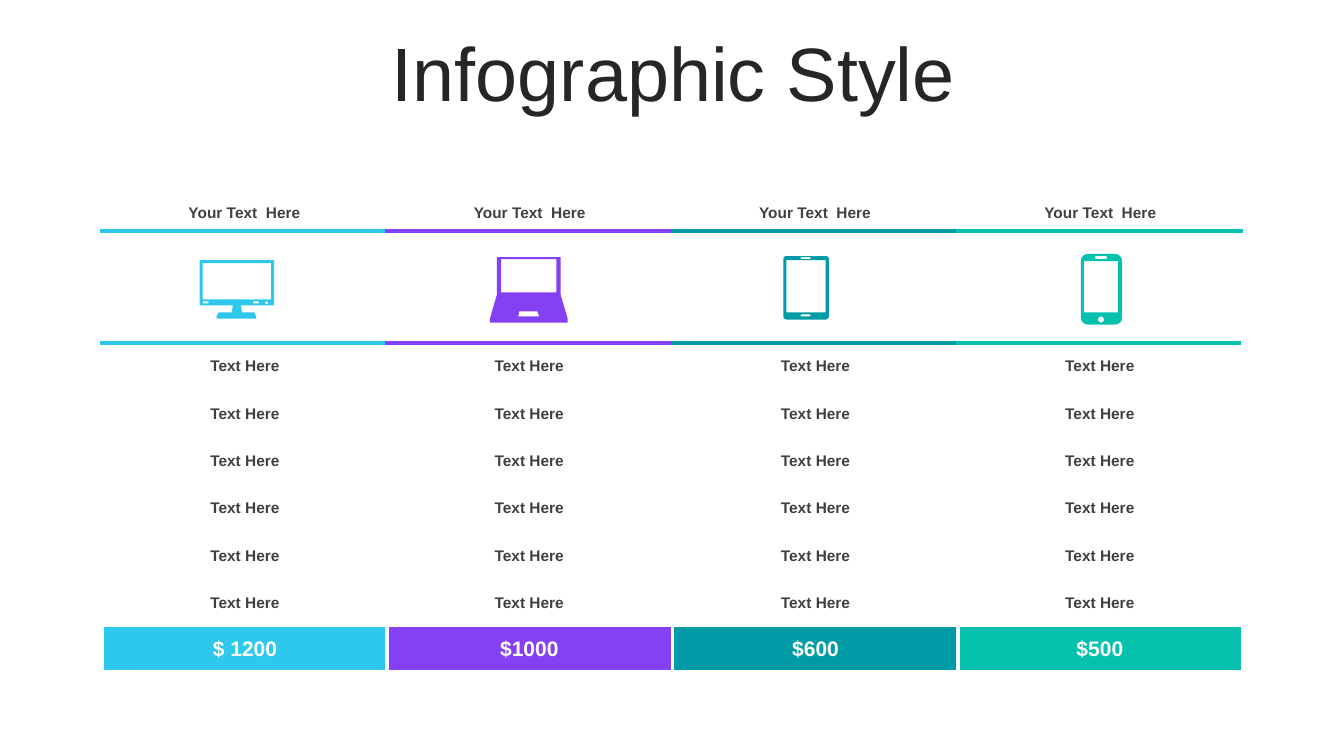
from math import cos, pi, sin

from lxml import etree
from pptx import Presentation
from pptx.dml.color import RGBColor
from pptx.enum.text import MSO_ANCHOR, PP_ALIGN
from pptx.oxml.ns import qn
from pptx.util import Inches, Pt

CENTER, MIDDLE = PP_ALIGN.CENTER, MSO_ANCHOR.MIDDLE
FONT, WHITE, DARK = "Arial", "FFFFFF", "404040"

COLORS = ["2EC8ED", "8540F4", "019BA7", "07C1AF"]
PRICES = ["$ 1200", "$1000", "$600", "$500"]
LEFT, TOP = 1.01, 1.93
SIDE, MAIN, INNER = 0.31, 2.22, 0.3
GROUP = SIDE + MAIN + INNER
ROWS = [0.36, 1.11] + [0.47] * 6 + [0.45]
HEADER, ICONS, FIRST_TEXT, PRICE = 0, 1, 2, len(ROWS) - 1
UNITS = 100  # freeform units per hundredth of an inch


def color(value):
    return RGBColor.from_string(value)


def write(frame, text, size, fill, bold=True):
    p = frame.paragraphs[0]
    p.add_run().text = text
    p.alignment = CENTER
    p.font.name, p.font.size, p.font.bold = FONT, Pt(size), bold
    p.font.color.rgb = color(fill)
    return p


def add_title(s, text):
    tb = s.shapes.add_textbox(Inches(0.35), Inches(0.37), Inches(12.66), Inches(0.79))
    tf = tb.text_frame
    tf.word_wrap = True
    tf.vertical_anchor = MIDDLE
    write(tf, text, 54, "262626", bold=False).line_spacing = 0.9


def set_borders(cell, **sides):
    """Draw 3 pt borders on the named sides (L, R, T, B) and clear the others."""
    tcPr = cell._tc.get_or_add_tcPr()
    for side in "LRTB":
        ln = etree.SubElement(tcPr, qn(f"a:ln{side}"), w=str(Pt(3)))
        if sides.get(side):
            fill = etree.SubElement(ln, qn("a:solidFill"))
            etree.SubElement(fill, qn("a:srgbClr"), val=sides[side])
        else:
            etree.SubElement(ln, qn("a:noFill"))


def style_cell(cell, row, part, accent):
    """Set borders and fill; part is the column's place in its group of three."""
    set_borders(
        cell,
        L=WHITE if part == 0 else None,
        R=WHITE if part == 2 else None,
        T={HEADER: WHITE, ICONS: accent, FIRST_TEXT: accent}.get(row),
        B={HEADER: accent, ICONS: accent, PRICE: WHITE}.get(row),
    )
    cell.fill.solid()
    cell.fill.fore_color.rgb = color(accent if row == PRICE else WHITE)
    cell.vertical_anchor = MIDDLE
    cell.margin_top = cell.margin_bottom = Inches(0.04)
    cell.margin_left = cell.margin_right = Inches(0.08)


def add_price_table(s):
    groups = len(COLORS)
    frame = s.shapes.add_table(len(ROWS), 3 * groups, Inches(LEFT), Inches(TOP),
                               Inches(GROUP * groups), Inches(sum(ROWS)))
    table = frame.table
    table.first_row = table.horz_banding = False
    for row, height in zip(table.rows, ROWS):
        row.height = Inches(height)
    for g, (accent, price) in enumerate(zip(COLORS, PRICES)):
        widths = [SIDE, MAIN, INNER][::-1 if g % 2 else 1]
        for part, width in enumerate(widths):
            table.columns[3 * g + part].width = Inches(width)
            for row in range(len(ROWS)):
                style_cell(table.cell(row, 3 * g + part), row, part, accent)
        for row in (HEADER, ICONS):
            table.cell(row, 3 * g).merge(table.cell(row, 3 * g + 2))
        write(table.cell(HEADER, 3 * g).text_frame, "Your Text  Here", 11, DARK)
        for row in range(FIRST_TEXT, PRICE):
            write(table.cell(row, 3 * g + 1).text_frame, "Text Here", 11, DARK)
        write(table.cell(PRICE, 3 * g + 1).text_frame, price, 15, WHITE)


def box(x, y, w, h, r=0):
    """Outline of a rectangle whose corners have radius r."""
    if not r:
        return [(x, y), (x + w, y), (x + w, y + h), (x, y + h)]
    centers = [(x + w - r, y + h - r), (x + r, y + h - r),
               (x + r, y + r), (x + w - r, y + r)]
    steps = 6
    return [(cx + r * cos(a), cy + r * sin(a))
            for q, (cx, cy) in enumerate(centers)
            for a in [(q + k / steps) * pi / 2 for k in range(steps + 1)]]


def add_icon(s, left, top, fill, outlines):
    """Draw a body with holes; outlines are in hundredths of an inch."""
    scaled = [[(x * UNITS, y * UNITS) for x, y in o] for o in outlines]
    fb = s.shapes.build_freeform(*scaled[0][0], scale=Inches(0.01) / UNITS)
    for i, points in enumerate(scaled):
        if i:
            fb.move_to(*points[0])
        fb.add_line_segments(points[1:], close=True)
    sp = fb.convert_to_shape(Inches(left), Inches(top))
    sp.shadow.inherit = False
    sp.fill.solid()
    sp.fill.fore_color.rgb = color(fill)
    sp.line.fill.background()


def main():
    prs = Presentation()
    prs.slide_width, prs.slide_height = Inches(13.33), Inches(7.5)
    s = prs.slides.add_slide(prs.slide_layouts[6])
    add_title(s, "Infographic Style")
    add_price_table(s)

    monitor = [
        [(0, 0), (74, 0), (74, 45), (41, 45), (42, 52), (54, 52), (56, 55), (56, 58),
         (17, 58), (17, 55), (19, 52), (32, 52), (33, 45), (0, 45)],
        box(3, 3, 68, 36), box(3, 41, 6, 2, 1), box(53, 41, 6, 2, 1),
        box(65, 41, 3, 3, 1.5),
    ]
    laptop = [
        [(7, 0), (70, 0), (70, 37), (77, 61), (77, 65), (0, 65), (0, 61), (7, 37)],
        box(11, 2, 55, 33), [(29, 54), (28, 59), (49, 59), (47, 54)],
    ]
    tablet = [box(0, 0, 45, 63, 3), box(3, 4, 39, 52),
              box(17, 1, 10, 2, 1), box(17, 58, 10, 2, 1)]
    phone = [box(0, 0, 41, 70, 7), box(3, 7, 34, 51),
             box(14, 2, 12, 3, 1.5), box(17, 62, 6, 6, 3)]
    icons = [(0.97, 2.58, monitor), (1.02, 2.55, laptop),
             (1.1, 2.54, tablet), (1.22, 2.52, phone)]
    for g, (offset, top, outlines) in enumerate(icons):
        add_icon(s, LEFT + GROUP * g + offset, top, COLORS[g], outlines)
    prs.save("out.pptx")


if __name__ == "__main__":
    main()
